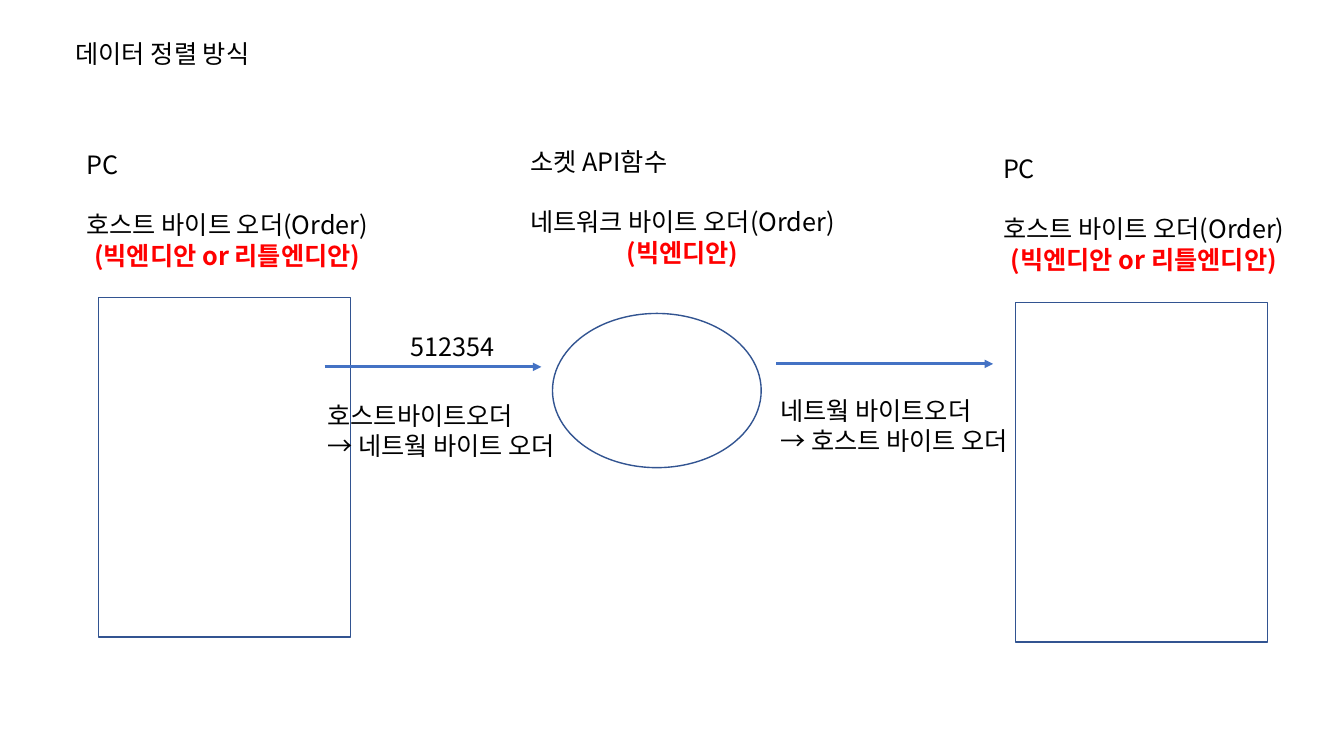
from dataclasses import dataclass

from lxml import etree
from pptx import Presentation
from pptx.dml.color import RGBColor
from pptx.enum import shapes, text
from pptx.oxml.ns import qn
from pptx.util import Inches, Pt


@dataclass(frozen=True)
class Theme:
    font: str = "Noto Sans CJK KR"
    size: float = 18
    gap: float = 21.6
    ink: str = "000000"
    red: str = "FF0000"
    white: str = "FFFFFF"
    edge: str = "325491"
    blue: str = "4472C4"


@dataclass(frozen=True)
class Node:
    kind: shapes.MSO_SHAPE
    box: tuple[float, float, float, float]
    label: tuple[float, float, float, float]
    name: str
    order: str
    endian: str
    fill: str | None = None


@dataclass(frozen=True)
class Flow:
    left: float
    top: float
    note: tuple[float, float, float, float]
    lines: tuple[str, str]


THEME = Theme()
RECT = shapes.MSO_SHAPE.RECTANGLE
OVAL = shapes.MSO_SHAPE.OVAL
HOST = "호스트 바이트 오더(Order)"
BOTH = "(빅엔디안 or 리틀엔디안)"
REACH = 2.15

NODES = (
    Node(RECT, (0.98, 2.95, 2.5, 3.37), (0.76, 1.43, 3.21, 1.62), "PC", HOST, BOTH),
    Node(OVAL, (5.48, 3.11, 2.07, 1.53), (5.16, 1.4, 3.46, 1.31), "소켓 API함수",
         "네트워크 바이트 오더(Order)", "(빅엔디안)", THEME.white),
    Node(RECT, (10.07, 3, 2.5, 3.37), (9.85, 1.47, 3.21, 1.62), "PC", HOST, BOTH),
)
FLOWS = (
    Flow(3.22, 3.64, (3.15, 3.92, 2.74, 0.71),
         ("호스트바이트오더", "→ 네트웤 바이트 오더")),
    Flow(7.7, 3.61, (7.64, 3.87, 2.74, 0.71),
         ("네트웤 바이트오더", "→ 호스트 바이트 오더")),
)


def color(code: str) -> RGBColor:
    return RGBColor.from_string(code)


def add_run(para, words: str, ink: str = THEME.ink, bold: bool = False) -> None:
    run = para.add_run()
    run.text = words
    font = run.font
    font.name, font.size, font.bold = THEME.font, Pt(THEME.size), bold
    font.color.rgb = color(ink)
    face = etree.Element(qn("a:ea"), typeface=THEME.font)
    font._element.find(qn("a:latin")).addnext(face)


def fill_text(shape, lines: tuple[str, ...]):
    frame = shape.text_frame
    frame.word_wrap = False
    frame.auto_size = text.MSO_AUTO_SIZE.SHAPE_TO_FIT_TEXT
    frame.vertical_anchor = text.MSO_ANCHOR.TOP
    for spot, words in enumerate(lines):
        para = frame.add_paragraph() if spot else frame.paragraphs[0]
        para.alignment = text.PP_ALIGN.LEFT
        add_run(para, words)
    return frame


def add_text(slide, box: tuple[float, ...], lines: tuple[str, ...]):
    return fill_text(slide.shapes.add_textbox(*map(Inches, box)), lines)


def add_title(slide, words: str) -> None:
    title = slide.shapes.title
    title.left, title.top, title.width, title.height = map(
        Inches, (0.65, 0.33, 2.15, 0.4))
    fill_text(title, (words,))


def add_node(slide, node: Node) -> None:
    shape = slide.shapes.add_shape(node.kind, *map(Inches, node.box))
    shape.shadow.inherit = False
    if node.fill:
        shape.fill.solid()
        shape.fill.fore_color.rgb = color(node.fill)
    else:
        shape.fill.background()
    shape.line.color.rgb = color(THEME.edge)
    shape.line.width = Pt(1)
    frame = add_text(slide, node.label, (node.name, node.order))
    frame.paragraphs[0].space_after = Pt(THEME.gap)
    para = frame.add_paragraph()
    para.alignment = text.PP_ALIGN.CENTER
    add_run(para, node.endian, THEME.red, True)


def add_flow(slide, flow: Flow) -> None:
    ends = (flow.left, flow.top, flow.left + REACH, flow.top)
    arrow = slide.shapes.add_connector(
        shapes.MSO_CONNECTOR.STRAIGHT, *map(Inches, ends))
    arrow.line.color.rgb = color(THEME.blue)
    arrow.line.width = Pt(2)
    etree.SubElement(arrow.line._get_or_add_ln(), qn("a:tailEnd"), type="triangle")
    etree.SubElement(arrow._element.spPr, qn("a:effectLst"))
    add_text(slide, flow.note, flow.lines)


def main() -> None:
    deck = Presentation()
    deck.slide_width, deck.slide_height = Inches(13.33), Inches(7.5)
    slide = deck.slides.add_slide(deck.slide_layouts[5])
    add_title(slide, "데이터 정렬 방식")
    for node in NODES:
        add_node(slide, node)
    for flow in FLOWS:
        add_flow(slide, flow)
    add_text(slide, (3.97, 3.24, 1.03, 0.4), ("512354",))
    deck.save("out.pptx")


if __name__ == "__main__":
    main()
